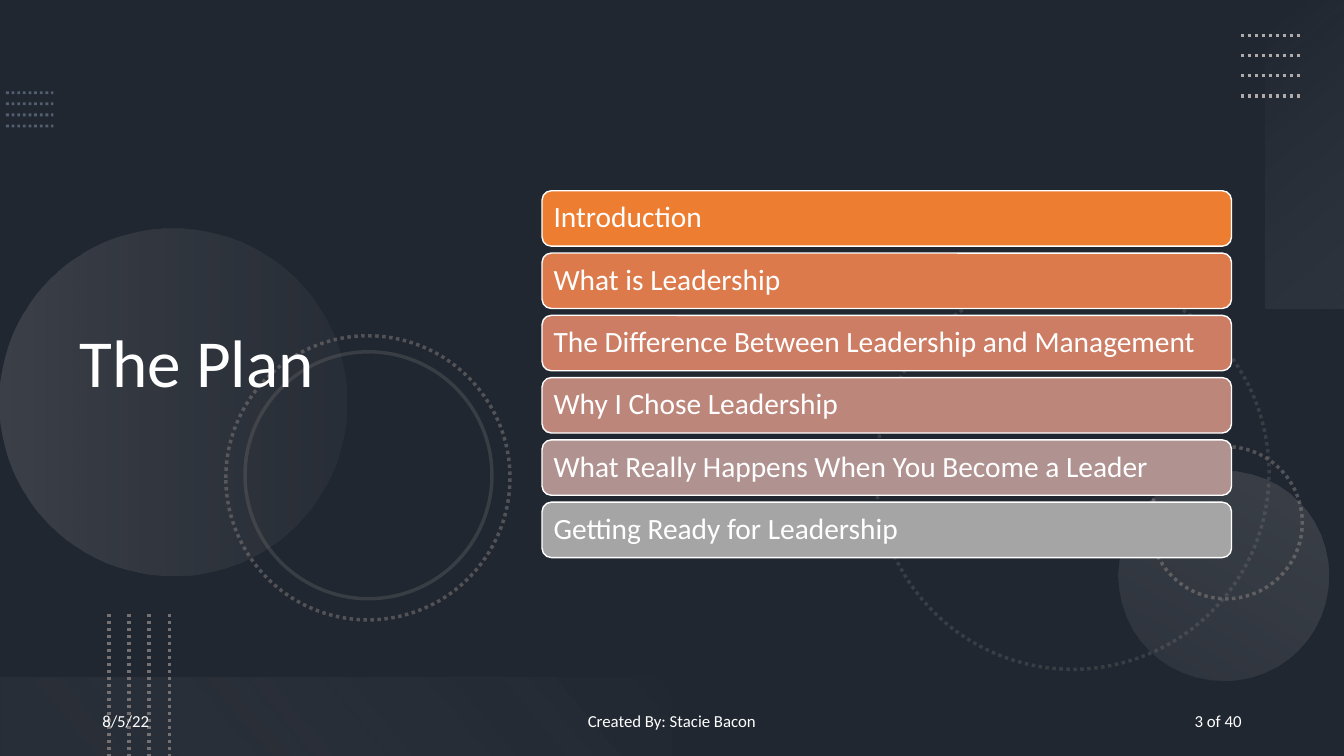
from lxml.etree import SubElement
from pptx import Presentation
from pptx.dml.color import RGBColor
from pptx.enum.dml import MSO_LINE
from pptx.enum.shapes import MSO_CONNECTOR, MSO_SHAPE
from pptx.enum.text import MSO_ANCHOR, PP_ALIGN
from pptx.oxml.ns import qn
from pptx.util import Pt

WIDTH, HEIGHT = 960, 540
FONT = "Calibri"
WHITE = RGBColor(0xFF, 0xFF, 0xFF)
BLACK = RGBColor(0x00, 0x00, 0x00)
SLATE = RGBColor(0x44, 0x54, 0x6A)
STEEL = RGBColor(0x84, 0x97, 0xB0)
GRAY = RGBColor(0x76, 0x71, 0x71)
SILVER = RGBColor(0xAF, 0xAB, 0xAB)
PALE = RGBColor(0xF5, 0xF5, 0xF5)
MIST = RGBColor(0xF1, 0xF0, 0xF0)

TOPICS = [
    ("Introduction", RGBColor(0xED, 0x7D, 0x31)),
    ("What is Leadership", RGBColor(0xDC, 0x7A, 0x4B)),
    ("The Difference Between Leadership and Management", RGBColor(0xCC, 0x7D, 0x64)),
    ("Why I Chose Leadership", RGBColor(0xBD, 0x86, 0x7B)),
    ("What Really Happens When You Become a Leader", RGBColor(0xB0, 0x93, 0x91)),
    ("Getting Ready for Leadership", RGBColor(0xA5, 0xA5, 0xA5)),
]


def set_opacity(element, percent):
    for color in element.iter(qn("a:srgbClr")):
        SubElement(color, qn("a:alpha"), val=str(percent * 1000))


def style_line(line, color, width, dotted):
    line.color.rgb = color
    line.width = Pt(width)
    if dotted:
        line.dash_style = MSO_LINE.ROUND_DOT


def add_plain_shape(page, kind, box, rotation=0):
    shape = page.shapes.add_shape(kind, *map(Pt, box))
    shape.shadow.inherit = False
    shape.rotation = rotation
    shape.line.fill.background()
    return shape


def add_shade(page, box):
    shade = add_plain_shape(page, MSO_SHAPE.RECTANGLE, box)
    shade.fill.solid()
    shade.fill.fore_color.rgb = BLACK
    set_opacity(shade.fill._xPr, 53)


def add_gradient(page, kind, box, rotation, angle, stops):
    shape = add_plain_shape(page, kind, box, rotation)
    shape.fill.gradient()
    shape.fill.gradient_angle = angle
    for stop, (position, color, opacity) in zip(shape.fill.gradient_stops, stops):
        stop.position = position
        stop.color.rgb = color
        set_opacity(stop._gs, opacity)


def add_ring(page, box, opacity, dotted=True):
    ring = add_plain_shape(page, MSO_SHAPE.OVAL, box)
    ring.fill.background()
    style_line(ring.line, GRAY, 2.5, dotted)
    set_opacity(ring.line._ln, opacity)


def add_dot_grid(page, box, color, width=2.5, opacity=100, vertical=False, count=4):
    left, top, across, down = box
    for index in range(count):
        share = index / (count - 1)
        if vertical:
            x = left + across * share
            ends = x, top, x, top + down
        else:
            y = top + down * share
            ends = left, y, left + across, y
        row = page.shapes.add_connector(MSO_CONNECTOR.STRAIGHT, *map(Pt, ends))
        style_line(row.line, color, width, True)
        if opacity < 100:
            set_opacity(row.line._ln, opacity)
        SubElement(row._element.spPr, qn("a:effectLst"))


def write_text(shape, text, size, alignment=PP_ALIGN.LEFT, spacing=1.0):
    frame = shape.text_frame
    frame.word_wrap = True
    frame.vertical_anchor = MSO_ANCHOR.MIDDLE
    frame.text = text
    para = frame.paragraphs[0]
    para.alignment = alignment
    para.line_spacing = spacing
    font = para.runs[0].font
    font.name = FONT
    font.size = Pt(size)
    font.color.rgb = WHITE


def add_label(page, box, text, size, alignment=PP_ALIGN.LEFT, spacing=1.0):
    label = page.shapes.add_textbox(*map(Pt, box))
    write_text(label, text, size, alignment, spacing)


def add_topics(page, box):
    left, top, width, height = box
    gap = 4.9
    bar_height = (height - gap * (len(TOPICS) - 1)) / len(TOPICS)
    for index, (topic, color) in enumerate(TOPICS):
        bar_top = top + index * (bar_height + gap)
        bar = add_plain_shape(page, MSO_SHAPE.ROUNDED_RECTANGLE,
                              (left, bar_top, width, bar_height))
        bar.fill.solid()
        bar.fill.fore_color.rgb = color
        style_line(bar.line, WHITE, 1, False)
        frame = bar.text_frame
        frame.margin_left = frame.margin_right = Pt(6.3)
        frame.margin_top = frame.margin_bottom = Pt(3.6)
        write_text(bar, topic, 21, spacing=0.9)


def add_decoration(page, box):
    left, top, width, height = box
    right, bottom = left + width, top + height
    add_shade(page, box)
    add_dot_grid(page, (left + 4.3, top + 66.2, 33.8, 23.8), STEEL, 2, 50)
    add_ring(page, (right - 334.3, top + 197.3, 280.8, 280.8), 30)
    add_ring(page, (right - 138.5, top + 319, 108.7, 108.7), 60)
    add_gradient(page, MSO_SHAPE.OVAL, (left, top + 163.4, 247.7, 247.7), 270, 270,
                 [(0, SILVER, 20), (1, GRAY, 10)])
    add_gradient(page, MSO_SHAPE.OVAL, (right - 160.8, top + 336.2, 149.8, 149.8), 210, 270,
                 [(0, SILVER, 10), (1, SILVER, 20)])
    add_ring(page, (left + 161.3, top + 239.8, 203, 203), 60)
    add_ring(page, (left + 175, top + 251.3, 176.4, 176.4), 30, False)
    add_gradient(page, MSO_SHAPE.RECTANGLE, (right - 137.8, top + 82.1, 220.3, 56.2), 270, 220,
                 [(0, PALE, 0), (1, SILVER, 10)])
    add_dot_grid(page, (right - 73.7, top + 25.2, 43.2, 43.2), SILVER)
    add_gradient(page, MSO_SHAPE.RECTANGLE, (left, bottom - 56.2, 480, 56.2), 180, 220,
                 [(0.1, GRAY, 10), (1, MIST, 0)])
    add_dot_grid(page, (left + 77.8, bottom - 101.5, 43.2, 101.5), GRAY, vertical=True)


def add_footer(page, box):
    left, top, width, height = box
    add_label(page, (left, top, 216, height), "8/5/22", 12)
    add_label(page, (left + (width - 324) / 2, top, 324, height),
              "Created By: Stacie Bacon", 12, PP_ALIGN.CENTER)
    add_label(page, (left + width - 216, top, 216, height), "3 of 40", 12, PP_ALIGN.RIGHT)


def main():
    deck = Presentation()
    deck.slide_width, deck.slide_height = Pt(WIDTH), Pt(HEIGHT)
    page = deck.slides.add_slide(deck.slide_layouts[6])
    page.background.fill.solid()
    page.background.fill.fore_color.rgb = SLATE
    add_decoration(page, (0, 0, WIDTH, HEIGHT))
    add_label(page, (49.7, 38.9, 330.5, 444.2), "The Plan", 48, spacing=0.9)
    add_topics(page, (387.2, 136.3, 492.5, 262))
    add_footer(page, (66, 500.5, 828, 28.8))
    deck.save("out.pptx")


if __name__ == "__main__":
    main()
